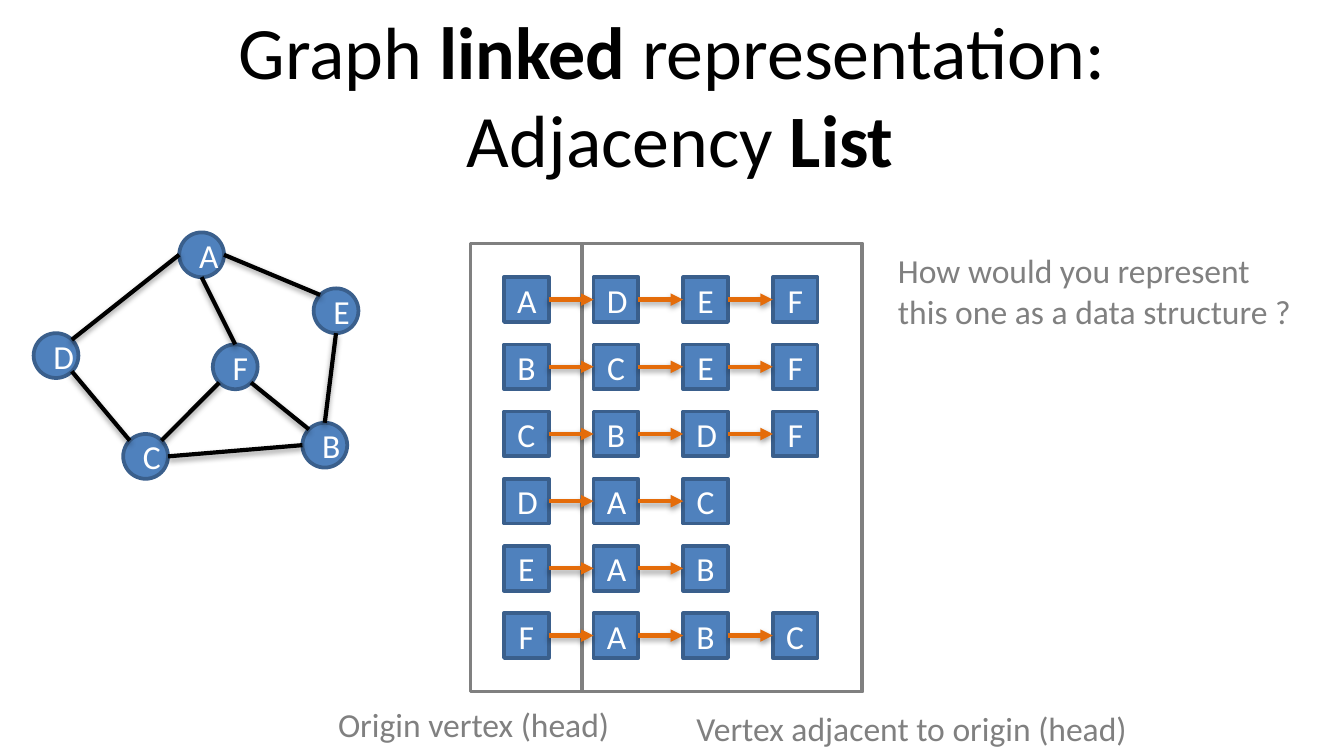
from math import cos, pi, sin

from lxml import etree
from pptx import Presentation
from pptx.dml.color import RGBColor
from pptx.enum.shapes import MSO_CONNECTOR, MSO_SHAPE
from pptx.enum.text import MSO_ANCHOR, MSO_AUTO_SIZE, PP_ALIGN
from pptx.oxml.ns import qn
from pptx.util import Pt

RECT, OVAL = MSO_SHAPE.RECTANGLE, MSO_SHAPE.OVAL
STRAIGHT = MSO_CONNECTOR.STRAIGHT
TOP, MIDDLE = MSO_ANCHOR.TOP, MSO_ANCHOR.MIDDLE
LEFT, CENTER = PP_ALIGN.LEFT, PP_ALIGN.CENTER
FIT, NO_FIT = MSO_AUTO_SIZE.SHAPE_TO_FIT_TEXT, MSO_AUTO_SIZE.NONE

FONT = "Calibri"
BLACK, WHITE, GRAY = "000000", "FFFFFF", "808080"
BLUE, NAVY, ORANGE = "4F81BD", "3A5F8C", "E46C0A"
SIZE = 24
COL_STEP, ROW_STEP = 48, 36

VERTICES = {
    "A": (96, 124.5), "B": (162, 226.5), "C": (66, 232.5),
    "D": (18, 178.5), "E": (168, 154.5), "F": (114, 184.5),
}
EDGES = [
    ("A", 2, "D", 7), ("C", 1, "D", 5), ("C", 7, "F", 3), ("B", 1, "F", 5),
    ("E", 4, "B", 0), ("E", 1, "A", 6), ("B", 2, "C", 6), ("A", 4, "F", 0),
]
ADJACENCY = ["ADEF", "BCEF", "CBDF", "DAC", "EAB", "FABC"]


def rgb(color):
    """Return the colour for a hex string."""
    return RGBColor.from_string(color)


def write(tf, runs, size=18, color=GRAY, align=LEFT, anchor=TOP, wrap=True):
    """Write (text, bold) runs as one paragraph."""
    tf.word_wrap = wrap
    tf.vertical_anchor = anchor
    p = tf.paragraphs[0]
    p.alignment = align
    for i, (text, bold) in enumerate(runs):
        for j, line in enumerate(text.split("\n")):
            if j:
                p.add_line_break()
            r = p.add_run()
            r.text = line
            r.font.name = FONT
            r.font.size = Pt(size)
            r.font.bold = bold
            r.font.color.rgb = rgb(color)


def add_text(s, runs, x, y, w, h, fit=FIT, **fmt):
    """Add a text box."""
    tf = s.shapes.add_textbox(Pt(x), Pt(y), Pt(w), Pt(h)).text_frame
    write(tf, runs, **fmt)
    tf.auto_size = fit


def add_box(s, kind, x, y, w, h, line, fill=None):
    """Add an outlined shape, filled if a colour is given."""
    sp = s.shapes.add_shape(kind, Pt(x), Pt(y), Pt(w), Pt(h))
    sp.shadow.inherit = False
    sp.line.color.rgb = rgb(line)
    sp.line.width = Pt(2)
    if fill:
        sp.fill.solid()
        sp.fill.fore_color.rgb = rgb(fill)
    else:
        sp.fill.background()
    return sp


def add_node(s, kind, label, x, y):
    """Add a labelled blue vertex."""
    sp = add_box(s, kind, x, y, SIZE, SIZE, NAVY, BLUE)
    write(sp.text_frame, [(label, False)], color=WHITE, align=CENTER, anchor=MIDDLE)


def add_line(s, start, end, color, arrow=False):
    """Add a straight line with a soft shadow and an optional arrowhead."""
    cn = s.shapes.add_connector(STRAIGHT, *(Pt(v) for v in (*start, *end)))
    cn.line.color.rgb = rgb(color)
    cn.line.width = Pt(2.25)
    if arrow:
        etree.SubElement(cn.line._get_or_add_ln(), qn("a:tailEnd"), type="triangle")
    effects = etree.SubElement(cn._element.spPr, qn("a:effectLst"))
    shadow = etree.SubElement(effects, qn("a:outerShdw"), blurRad=str(Pt(3.1)),
                              dist=str(Pt(1.6)), dir="5400000", rotWithShape="0")
    clr = etree.SubElement(shadow, qn("a:srgbClr"), val=BLACK)
    etree.SubElement(clr, qn("a:alpha"), val="38000")


def site(vertex, index):
    """Return one of eight rim points, counted anticlockwise from the top."""
    x, y = VERTICES[vertex]
    radius, angle = SIZE / 2, index * pi / 4
    return x + radius - radius * sin(angle), y + radius - radius * cos(angle)


def add_graph(s):
    """Draw the vertices and edges of the graph."""
    for label, (x, y) in VERTICES.items():
        add_node(s, OVAL, label, x, y)
    for a, i, b, j in EDGES:
        add_line(s, site(a, i), site(b, j), BLACK)


def add_adjacency_list(s, left, top):
    """Draw one linked chain of boxes per origin vertex."""
    for row, chain in enumerate(ADJACENCY):
        y = top + row * ROW_STEP
        mid = y + SIZE / 2
        for col, label in enumerate(chain):
            x = left + col * COL_STEP
            add_node(s, RECT, label, x, y)
            if col:
                add_line(s, (x - COL_STEP + SIZE, mid), (x, mid), ORANGE, arrow=True)


def main():
    """Build and save the slide."""
    prs = Presentation()
    prs.slide_width, prs.slide_height = Pt(720), Pt(405)
    s = prs.slides.add_slide(prs.slide_layouts[6])
    for x, w in ((252, 60), (312, 150)):
        add_box(s, RECT, x, 130.5, w, 240, GRAY)
    title = [("Graph ", False), ("linked", True),
             (" representation:\n Adjacency ", False), ("List", True)]
    add_text(s, title, 36, 16.5, 648, 67.5, fit=NO_FIT, size=39.6, color=BLACK,
             align=CENTER, anchor=MIDDLE)
    add_graph(s)
    add_adjacency_list(s, 270, 148.5)
    question = "How would you represent this one as a data structure ?"
    add_text(s, [(question, False)], 474, 130.5, 232.5, 51)
    add_text(s, [("Origin vertex (head)", False)], 174, 373.5, 162, 29, wrap=False)
    add_text(s, [("Vertex adjacent to origin (head)", False)], 366, 375.75, 248.5, 29,
             wrap=False)
    prs.save("out.pptx")


main()
